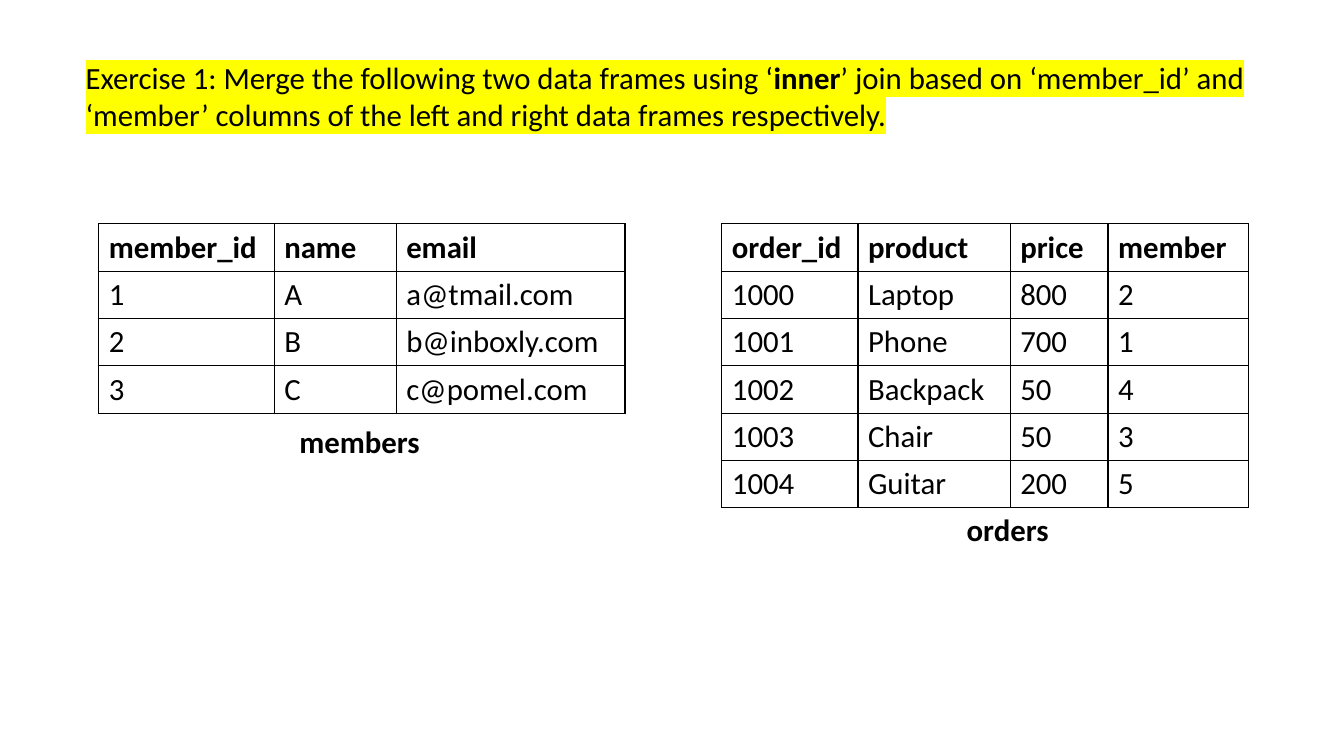
from pptx import Presentation
from pptx.dml.color import RGBColor as Rgb
from pptx.enum.text import MSO_AUTO_SIZE as AutoSize
from pptx.oxml import parse_xml
from pptx.oxml.ns import nsdecls, qn
from pptx.util import Inches, Pt

COLORS = {"ink": "000000", "marker": "FFFF00"}
FONT = {"name": "Calibri", "size": Pt(22)}
ROW_HEIGHT = 0.47
TABLE_TOP = 2.22

TASK = [
    ("Exercise 1: Merge the following two data frames using ‘", False),
    ("inner", True),
    ("’ join based on ‘member_id’ and ‘member’ columns of the left and "
     "right data frames respectively.", False),
]
MEMBERS = [
    ("member_id", "name", "email"),
    ("1", "A", "a@tmail.com"),
    ("2", "B", "b@inboxly.com"),
    ("3", "C", "c@pomel.com"),
]
ORDERS = [
    ("order_id", "product", "price", "member"),
    ("1000", "Laptop", "800", "2"),
    ("1001", "Phone", "700", "1"),
    ("1002", "Backpack", "50", "4"),
    ("1003", "Chair", "50", "3"),
    ("1004", "Guitar", "200", "5"),
]


class ExerciseSlide:
    def __init__(self, deck):
        self.slide = deck.slides.add_slide(deck.slide_layouts[6])

    def styled_run(self, paragraph, words, bold, marked=False):
        run = paragraph.add_run()
        run.text = words
        for key, value in {**FONT, "bold": bold}.items():
            setattr(run.font, key, value)
        run.font.color.rgb = Rgb.from_string(COLORS["ink"])
        if marked:
            ink = run._r.get_or_add_rPr().find(qn("a:solidFill"))
            ink.addnext(parse_xml(
                f'<a:highlight {nsdecls("a")}>'
                f'<a:srgbClr val="{COLORS["marker"]}"/></a:highlight>'))

    def text(self, left, top, width, height, runs, wrap=True, marked=False):
        box = self.slide.shapes.add_textbox(
            Inches(left), Inches(top), Inches(width), Inches(height))
        frame = box.text_frame
        frame.word_wrap = wrap
        frame.auto_size = AutoSize.SHAPE_TO_FIT_TEXT
        for words, bold in runs:
            self.styled_run(frame.paragraphs[0], words, bold, marked)

    def border(self, cell):
        properties = cell._tc.get_or_add_tcPr()
        for position, side in enumerate("LRTB"):
            properties.insert(position, parse_xml(
                f'<a:ln{side} {nsdecls("a")} w="{Pt(1)}"><a:solidFill>'
                f'<a:srgbClr val="{COLORS["ink"]}"/></a:solidFill></a:ln{side}>'))

    def table(self, left, widths, records):
        grid = self.slide.shapes.add_table(
            len(records), len(widths), Inches(left), Inches(TABLE_TOP),
            Inches(sum(widths)), Inches(ROW_HEIGHT * len(records))).table
        grid.first_row = grid.horz_banding = False
        for column, width in zip(grid.columns, widths):
            column.width = Inches(width)
        for row, record in enumerate(records):
            for column, value in enumerate(record):
                cell = grid.cell(row, column)
                cell.fill.background()
                self.border(cell)
                self.styled_run(cell.text_frame.paragraphs[0], value, row == 0)


def main():
    deck = Presentation()
    deck.slide_width, deck.slide_height = Inches(13.33), Inches(7.5)
    exercise = ExerciseSlide(deck)
    exercise.text(0.75, 0.53, 11.83, 0.84, TASK, marked=True)
    exercise.table(0.98, [1.74, 1.21, 2.27], MEMBERS)
    exercise.text(2.87, 4.14, 1.41, 0.47, [("members", True)], wrap=False)
    exercise.table(7.16, [1.35, 1.51, 0.97, 1.39], ORDERS)
    exercise.text(9.49, 5.02, 1.03, 0.47, [("orders", True)], wrap=False)
    deck.save("out.pptx")


if __name__ == "__main__":
    main()
